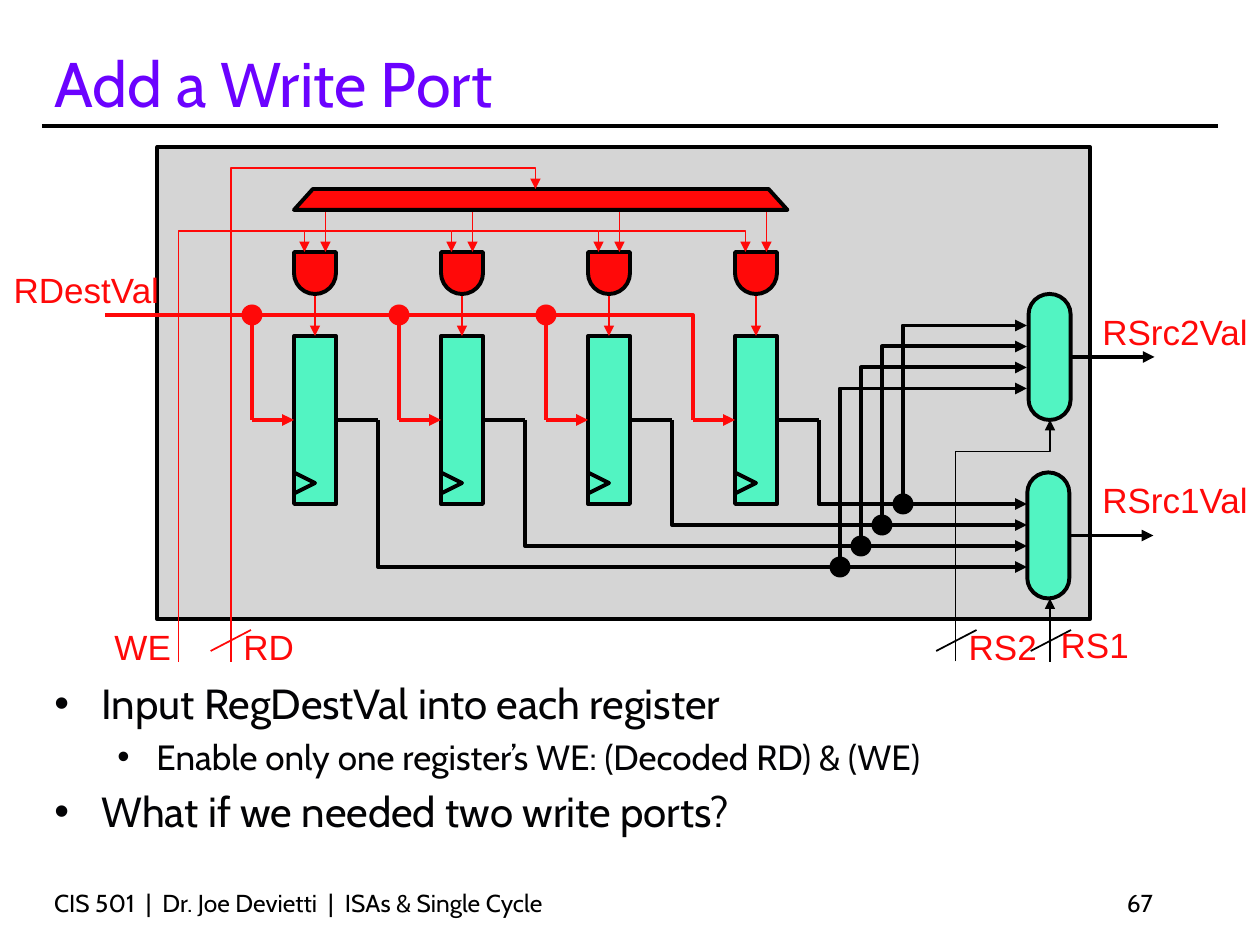
"""Build the slide that adds a write port to a register file."""
from dataclasses import dataclass
from typing import Optional

from pptx import Presentation, util as u
from pptx.dml.color import RGBColor
from pptx.enum import shapes as s, text as t
from pptx.oxml.ns import qn
from lxml import etree

COLORS = {"ink": "000000", "body": "030305", "title": "6B02FF",
          "write": "FF0909", "state": "52F4C2", "panel": "D5D5D5"}
CELL = 2.54 / 6
PITCH = 7
REGISTERS = 4
THICK, THIN = 2.25, 1
MUX_INPUT_X = 48.9


@dataclass
class Label:
    words: str
    x: float
    y: float
    width: float


@dataclass
class Bullet:
    words: str
    level: int
    size: float
    margin: float
    hang: float
    before: float


LABELS = [
    Label("RS1", 49.92, 29.4, 4.44),
    Label("RSrc1Val", 51.9, 22.5, 8.1),
    Label("RSrc2Val", 51.9, 14.5, 8.1),
    Label("RS2", 45.54, 29.5, 4.44),
    Label("RD", 11, 29.5, 3.6),
    Label("WE", 4.86, 29.5, 3.9),
    Label("RDestVal", 0.06, 12.5, 8.1),
]
BULLETS = [
    Bullet("Input RegDestVal into each register", 0, 24, 0.95, 0.95, 0),
    Bullet("Enable only one register’s WE: (Decoded RD) & (WE)", 1, 20, 2.06, 0.79, 4),
    Bullet("What if we needed two write ports?", 0, 24, 0.95, 0.95, 4.8),
]


def grid(cells: float) -> int:
    """Turn diagram grid cells into a length."""
    return u.Cm(cells * CELL)


def rgb(name: str) -> RGBColor:
    """Look up a colour by its role."""
    return RGBColor.from_string(COLORS[name])


def write(paragraph, words: str, *, size: float, color: str = "ink",
          font: str = "Cabin", align=t.PP_ALIGN.LEFT) -> None:
    """Put formatted text into a paragraph."""
    paragraph.alignment = align
    run = paragraph.add_run()
    run.text = words
    run.font.size, run.font.name = u.Pt(size), font
    run.font.color.rgb = rgb(color)


def place(shape, left: float, top: float, width: float, height: float) -> None:
    """Move and size a shape in centimetres."""
    shape.left, shape.top = u.Cm(left), u.Cm(top)
    shape.width, shape.height = u.Cm(width), u.Cm(height)


def textbox(slide, left: int, top: int, width: int, height: int, words: str, *,
            wrap: bool = True, anchor=t.MSO_ANCHOR.TOP, **style) -> None:
    """Add a one-paragraph text box, with no right inset when it does not wrap."""
    frame = slide.shapes.add_textbox(left, top, width, height).text_frame
    frame.word_wrap, frame.vertical_anchor = wrap, anchor
    if not wrap:
        frame.margin_right = 0
    write(frame.paragraphs[0], words, **style)


def stroke(shape, color: str, weight: float, arrow: bool = False) -> None:
    """Colour an outline and give it an arrowhead if asked."""
    shape.line.color.rgb = rgb(color)
    shape.line.width = u.Pt(weight)
    if arrow:
        etree.SubElement(shape.element.spPr.get_or_add_ln(), qn("a:tailEnd"), type="triangle")


def block(slide, kind, center_x: float, center_y: float, width: float, height: float,
          fill: str, outlined: bool = True, rotation: float = 0):
    """Add a filled preset shape around a grid point."""
    shape = slide.shapes.add_shape(kind, grid(center_x - width / 2), grid(center_y - height / 2),
                                   grid(width), grid(height))
    shape.rotation = rotation
    shape.shadow.inherit = False
    shape.fill.solid()
    shape.fill.fore_color.rgb = rgb(fill)
    if outlined:
        stroke(shape, "ink", THICK)
    else:
        shape.line.fill.background()
    return shape


def wire(slide, start: tuple, end: tuple, color: str = "ink", weight: float = THICK,
         arrow: bool = True):
    """Add a straight connector between two grid points."""
    connector = slide.shapes.add_connector(s.MSO_CONNECTOR.STRAIGHT, *map(grid, start + end))
    stroke(connector, color, weight, arrow)
    etree.SubElement(connector.element.spPr, qn("a:effectLst"))
    return connector


def outline(slide, points: list, color: str = "ink", weight: float = THICK,
            arrow: bool = True, fill: Optional[str] = None) -> None:
    """Add a bent wire, or a closed shape when a fill is given."""
    corners = [(grid(x), grid(y)) for x, y in points]
    builder = slide.shapes.build_freeform(*corners[0])
    builder.add_line_segments(corners[1:], close=fill is not None)
    shape = builder.convert_to_shape()
    shape.shadow.inherit = False
    if fill:
        shape.fill.solid()
        shape.fill.fore_color.rgb = rgb(fill)
    else:
        shape.fill.background()
    stroke(shape, color, weight, arrow)


def draw_text(slide) -> None:
    """Fill the title, the list and the footer."""
    title, body = slide.shapes.title, slide.placeholders[1]
    place(title, 0.84, 0.64, 22.43, 1.9)
    title.text_frame.auto_size = t.MSO_AUTO_SIZE.NONE
    title.text_frame.vertical_anchor = t.MSO_ANCHOR.BOTTOM
    write(title.text_frame.paragraphs[0], "Add a Write Port", size=36, color="title")

    place(body, 0.84, 13.54, 23.7, 4.01)
    frame = body.text_frame
    frame.auto_size = t.MSO_AUTO_SIZE.NONE
    for index, item in enumerate(BULLETS):
        paragraph = frame.add_paragraph() if index else frame.paragraphs[0]
        paragraph.level = item.level
        paragraph.space_before = u.Pt(item.before)
        props = paragraph._p.get_or_add_pPr()
        props.set("marL", str(u.Cm(item.margin)))
        props.set("indent", str(-u.Cm(item.hang)))
        tint = etree.SubElement(props, qn("a:buClr"))
        etree.SubElement(tint, qn("a:srgbClr"), val=COLORS["body"])
        etree.SubElement(props, qn("a:buChar"), char="•")
        write(paragraph, item.words, size=item.size, color="body")

    bottom = t.MSO_ANCHOR.BOTTOM
    textbox(slide, u.Cm(0.84), u.Cm(17.78), u.Cm(15.88), u.Cm(0.84),
            "CIS 501  |  Dr. Joe Devietti  |  ISAs & Single Cycle", anchor=bottom, size=14)
    textbox(slide, u.Cm(18.2), u.Cm(17.78), u.Cm(5.29), u.Cm(0.84), "67",
            anchor=bottom, size=14, align=t.PP_ALIGN.RIGHT)


def draw_register(slide, index: int) -> None:
    """Draw one register with its gate, write wires and read buses."""
    kinds = s.MSO_SHAPE
    x = 14 + PITCH * index
    register = block(slide, kinds.RECTANGLE, x + 1, 20, 2, 8, "state")
    wire(slide, (x - 2, 20), (x, 20), "write").end_connect(register, 1)
    wire(slide, (x + 2, 20), (x + 4, 20), arrow=False).begin_connect(register, 3)
    wire(slide, (x + 1, 14), (x + 1, 16), "write", THIN).end_connect(register, 0)
    block(slide, kinds.ISOSCELES_TRIANGLE, x + 0.5, 23, 1, 1, "state", rotation=90)

    bus_y, tap_x = 27 - index, 40 + index
    outline(slide, [(x + 4, 20), (x + 4, bus_y), (MUX_INPUT_X, bus_y)])
    outline(slide, [(tap_x, bus_y), (tap_x, bus_y - 8.5), (MUX_INPUT_X, bus_y - 8.5)])
    block(slide, kinds.FLOWCHART_CONNECTOR, tap_x, bus_y, 1, 1, "ink", outlined=False)

    outline(slide, [(x - 9, 15), (x - 2, 15), (x - 2, 20)], "write", arrow=False)
    if index < REGISTERS - 1:
        block(slide, kinds.FLOWCHART_CONNECTOR, x - 2, 15, 1, 1, "write", outlined=False)

    block(slide, kinds.FLOWCHART_DELAY, x + 1, 13, 2, 2, "write", rotation=90)
    wire(slide, (x + 1.5, 10), (x + 1.5, 12), "write", THIN)
    enable = [(x - 6.5, 11)] if index else [(8.5, 30.5), (8.5, 11)]
    outline(slide, enable + [(x + 0.5, 11), (x + 0.5, 12)], "write", THIN)


def draw_diagram(slide) -> None:
    """Draw the register file with its ports."""
    block(slide, s.MSO_SHAPE.RECTANGLE, 29.7, 18.25, 44.4, 22.5, "panel")
    for index in range(REGISTERS):
        draw_register(slide, index)
    outline(slide, [(14, 10), (37.5, 10), (36.6, 9), (14.9, 9)], arrow=False, fill="write")
    for center_x, center_y in ((49.92, 25.5), (49.98, 17)):
        block(slide, s.MSO_SHAPE.FLOWCHART_TERMINATOR, center_x, center_y, 6, 2, "state", rotation=90)
        wire(slide, (center_x + 1, center_y), (center_x + 5, center_y))

    outline(slide, [(11, 31.5), (11, 8), (25.5, 8), (25.5, 9)], "write", THIN)
    outline(slide, [(45.5, 31.5), (45.5, 21.5), (50, 21.5), (50, 20)], weight=THIN)
    wire(slide, (50, 31.5), (50, 28.5), weight=THIN)
    for x in (8.5, 11):
        wire(slide, (x, 31.5), (x, 30.5), "write", THIN, arrow=False)
    for x, color in ((46.5, "ink"), (11.95, "write"), (51, "ink")):
        wire(slide, (x, 30), (x - 1.92, 31), color, THIN, arrow=False)
    for label in LABELS:
        textbox(slide, grid(label.x), grid(label.y), grid(label.width), grid(2.58),
                label.words, wrap=False, size=20, color="write", font="Arial")


def main() -> None:
    """Create and save the presentation."""
    deck = Presentation()
    deck.slide_width, deck.slide_height = u.Cm(25.4), u.Cm(19.05)
    slide = deck.slides.add_slide(deck.slide_layouts[1])
    wire(slide, (2, 6), (58, 6), arrow=False)
    draw_text(slide)
    draw_diagram(slide)
    deck.save("out.pptx")


if __name__ == "__main__":
    main()
